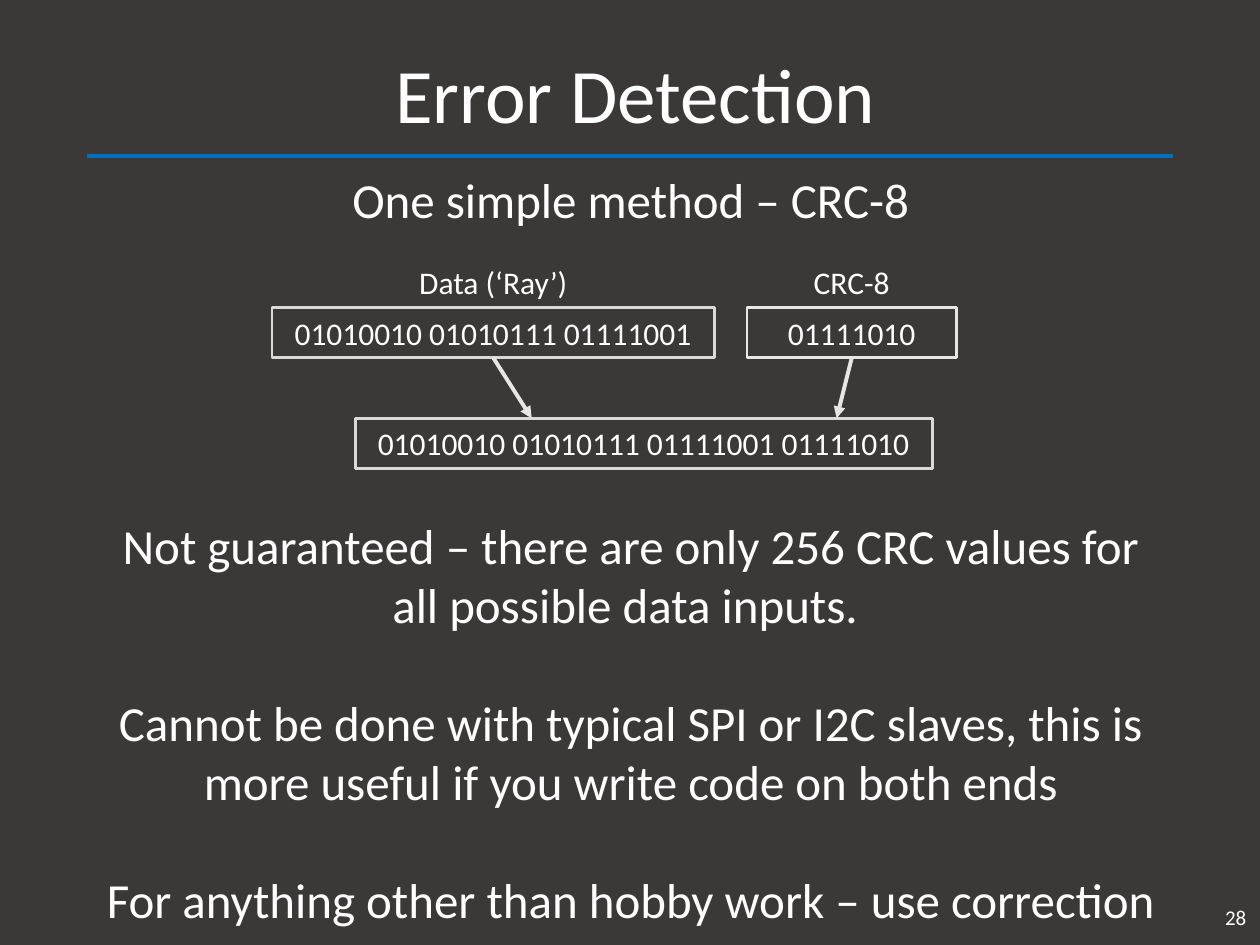
from lxml import etree
from pptx import Presentation
from pptx import util as u
from pptx.dml.color import RGBColor
from pptx.enum import shapes, text
from pptx.oxml.ns import qn

COLORS = {"background": "3B3838", "rule": "0070C0", "text": "FFFFFF",
          "data": "D9D9D9", "crc": "E7E6E6"}

presentation = Presentation()
presentation.slide_width, presentation.slide_height = u.Inches(10), u.Inches(7.5)
COLUMN = presentation.slide_width / 100
ROW = presentation.slide_height / 75

slide = presentation.slides.add_slide(presentation.slide_layouts[6])
slide.background.fill.solid()
slide.background.fill.fore_color.rgb = RGBColor.from_string(COLORS["background"])


def add_text(paragraphs, column, row, columns, rows, size, outline=None,
             align="CENTER", anchor="TOP", **paragraph_format):
    place = [round(value) for value in
             (column * COLUMN, row * ROW, columns * COLUMN, rows * ROW)]
    if outline:
        shape = slide.shapes.add_shape(shapes.MSO_SHAPE.RECTANGLE, *place)
        shape.shadow.inherit = False
        shape.fill.background()
        shape.line.color.rgb = RGBColor.from_string(COLORS[outline])
        shape.line.width = u.Pt(1.5)
    else:
        shape = slide.shapes.add_textbox(*place)
    frame = shape.text_frame
    frame.word_wrap = True
    frame.vertical_anchor = getattr(text.MSO_ANCHOR, anchor)
    frame.text = "\n".join(paragraphs)
    for index, paragraph in enumerate(frame.paragraphs):
        paragraph.alignment = getattr(text.PP_ALIGN, align)
        for name, value in paragraph_format.items():
            if name != "space_before" or index:
                setattr(paragraph, name, value)
        font = paragraph.runs[0].font
        font.color.rgb = RGBColor.from_string(COLORS["text"])
        for name, value in {"name": "Calibri", "size": u.Pt(size)}.items():
            setattr(font, name, value)
    return shape


def add_line(start, end, color, source=None, arrow=False):
    line = slide.shapes.add_connector(
        shapes.MSO_CONNECTOR.STRAIGHT,
        round(start[0] * COLUMN), round(start[1] * ROW),
        round(end[0] * COLUMN), round(end[1] * ROW))
    if source is not None:
        line.begin_connect(source, 2)
    line.line.color.rgb = RGBColor.from_string(COLORS[color])
    line.line.width = u.Pt(2.25)
    if arrow:
        etree.SubElement(line.line._get_or_add_ln(), qn("a:tailEnd"), type="triangle")
    etree.SubElement(line._element.spPr, qn("a:effectLst"))


add_line((6.9, 12.4), (93.1, 12.4), "rule")
add_text(["Error Detection"], 5.1, 2.4, 90.7, 10.9, 44, anchor="MIDDLE", line_spacing=0.9)
add_text(["28"], 77.4, 70.8, 22.5, 4, 12, align="RIGHT", anchor="MIDDLE")
add_text(["One simple method – CRC-8"], 7.1, 13, 85.9, 5.7, 28)

BOX_ROWS, SOURCE_ROW, MESSAGE_ROW = 4, 24.4, 33.2
DATA, CRC = "01010010 01010111 01111001", "01111010"
add_text([f"{DATA} {CRC}"], 28.2, MESSAGE_ROW, 45.8, BOX_ROWS, 18, "data")

for label, bits, column, columns, color, target in [
    ("Data (‘Ray’)", DATA, 21.6, 35.1, "data", 42.2),
    ("CRC-8", CRC, 59.3, 16.6, "crc", 66.4),
]:
    add_text([label], column, SOURCE_ROW - BOX_ROWS, columns, BOX_ROWS, 18)
    box = add_text([bits], column, SOURCE_ROW, columns, BOX_ROWS, 18, color)
    add_line((column + columns / 2, SOURCE_ROW + BOX_ROWS), (target, MESSAGE_ROW),
             "crc", source=box, arrow=True)

add_text([
    "Not guaranteed – there are only 256 CRC values for all possible data inputs. ",
    "Cannot be done with typical SPI or I2C slaves, this is more useful if you write code on both ends",
    "For anything other than hobby work – use correction",
], 7.1, 40.4, 85.9, 34, 28, space_before=u.Pt(34))

presentation.save("out.pptx")
